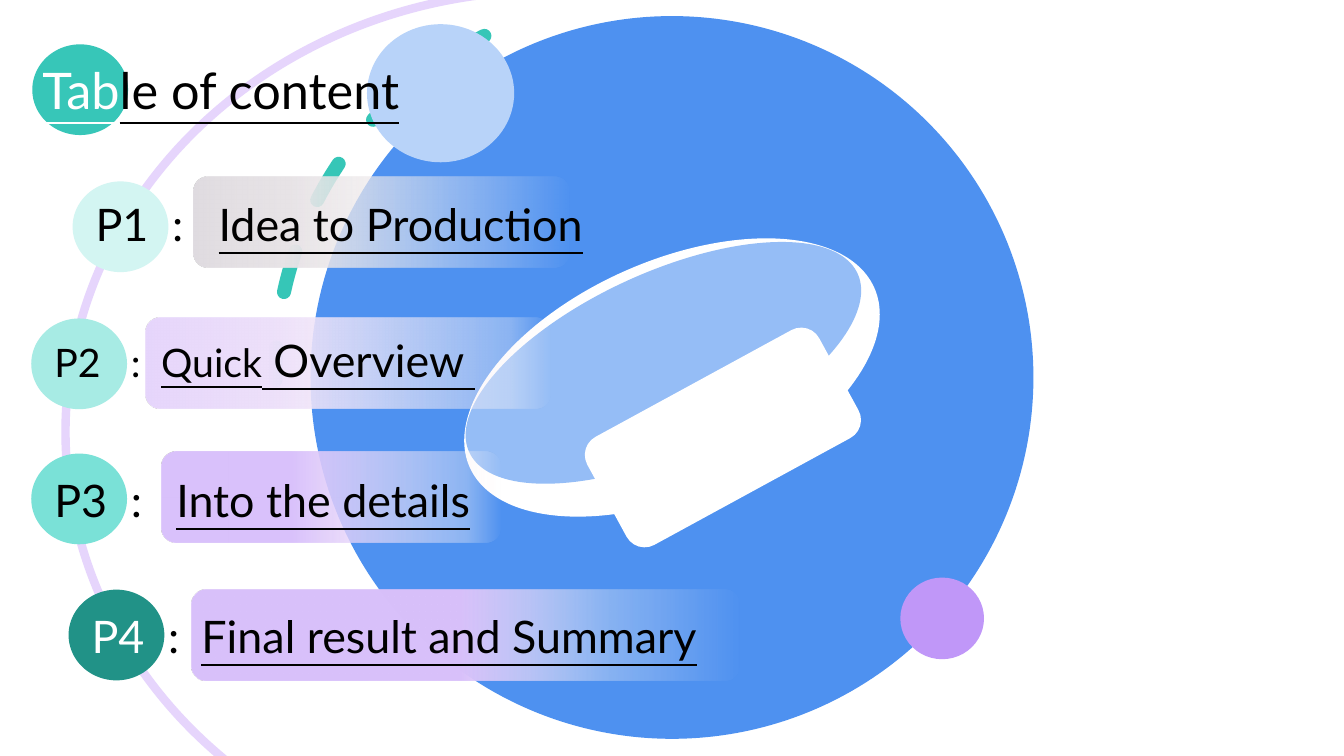
from dataclasses import dataclass

from lxml import etree
from pptx import Presentation
from pptx.dml.color import RGBColor
from pptx.enum.dml import MSO_LINE
from pptx.enum.shapes import MSO_SHAPE
from pptx.enum.text import MSO_ANCHOR, MSO_AUTO_SIZE, PP_ALIGN
from pptx.oxml.ns import qn
from pptx.util import Inches, Pt

ELLIPSE, ARC, ROUNDED = MSO_SHAPE.OVAL, MSO_SHAPE.ARC, MSO_SHAPE.ROUNDED_RECTANGLE
DASH, TOP, LEFT = MSO_LINE.DASH, MSO_ANCHOR.TOP, PP_ALIGN.LEFT
FIT_SHAPE = MSO_AUTO_SIZE.SHAPE_TO_FIT_TEXT


@dataclass(frozen=True)
class Theme:
    """Colours, font and type sizes of the slide."""
    font: str = "Lato"
    title: int = 36
    item: int = 32
    small: int = 28
    white: str = "FFFFFF"
    black: str = "000000"
    blue: str = "4E91F0"
    mid_blue: str = "95BDF6"
    pale_blue: str = "B8D3F9"
    teal: str = "37C6B8"
    dash_teal: str = "2CC3B4"
    purple: str = "C097F8"
    lilac: str = "E6D5FC"
    violet: str = "D9C1FB"
    cream: str = "FEF8F7"
    haze: str = "FCF5F7"
    badges: tuple = ("D3F5F2", "A7EBE4", "7AE1D7", "219287")


THEME = Theme()
CLEAR_END = (0, THEME.cream, 0)


@dataclass(frozen=True)
class Entry:
    """One line of the contents, with offsets measured from its badge."""
    label: str
    title_runs: tuple
    left: float
    top: float
    badge: str
    bar: tuple
    stops: tuple
    text_top: float
    text_width: float
    title_tab: float
    label_size: int = THEME.item
    label_color: str = THEME.black


ENTRIES = (
    Entry("P1", (("Idea to Production", THEME.item),), 0.72, 1.8, THEME.badges[0],
          (1.2, -0.05, 3.73),
          (CLEAR_END, (76, "E7E3E6", 100), (91, "E3DFE3", 100), (100, "DFDBE0", 100)),
          0.1, 5.33, 1.22),
    Entry("P2", (("Quick", THEME.small), (" Overview ", THEME.item)), 0.31, 3.16,
          THEME.badges[1], (1.13, -0.01, 4.02),
          (CLEAR_END, (10, THEME.haze, 35), (70, "EDE0FA", 100),
           (88, "E9DAFB", 100), (100, THEME.lilac, 100)),
          0.09, 5.56, 1.06, THEME.small),
    Entry("P3", (("Into the details", THEME.item),), 0.31, 4.5, THEME.badges[2],
          (1.29, -0.02, 3.36),
          (CLEAR_END, (10, THEME.haze, 35), (62, THEME.violet, 100), (100, THEME.violet, 100)),
          0.14, 4.81, 1.21),
    Entry("P4", (("Final result and Summary", THEME.item),), 0.68, 5.85, THEME.badges[3],
          (1.22, 0, 5.43),
          (CLEAR_END, (25, THEME.haze, 35), (51, THEME.violet, 100), (100, THEME.violet, 100)),
          0.14, 6.55, 1.09, label_color=THEME.white),
)


def add_filled(slide, preset, box, color=None, rotation=0):
    """Add a borderless preset shape, filled when a colour is given."""
    shape = slide.shapes.add_shape(preset, *map(Inches, box))
    shape.shadow.inherit = False
    shape.line.fill.background()
    shape.rotation = rotation
    if color:
        shape.fill.solid()
        shape.fill.fore_color.rgb = RGBColor.from_string(color)
    return shape


def add_arc(slide, box, angles, color, width, flip, rotation=0):
    """Add a flipped open arc and return it."""
    arc = add_filled(slide, ARC, box, rotation=rotation)
    arc.fill.background()
    arc.adjustments[0], arc.adjustments[1] = angles
    arc.line.color.rgb = RGBColor.from_string(color)
    arc.line.width = Pt(width)
    arc._element.spPr.find(qn("a:xfrm")).set(flip, "1")
    return arc


def fade_fill(shape, stops):
    """Fill a shape with a right-to-left gradient of (position, colour, opacity) stops."""
    shape.fill.gradient()
    shape.fill.gradient_angle = 180
    stop_list = shape._element.spPr.find(qn("a:gradFill")).find(qn("a:gsLst"))
    for old_stop in list(stop_list):
        stop_list.remove(old_stop)
    for position, color, opacity in stops:
        stop = etree.SubElement(stop_list, qn("a:gs"), pos=str(position * 1000))
        tint = etree.SubElement(stop, qn("a:srgbClr"), val=color)
        if opacity < 100:
            etree.SubElement(tint, qn("a:alpha"), val=str(opacity * 1000))


def add_run(paragraph, text, size, color=THEME.black, underline=False):
    """Append one formatted run to a paragraph."""
    run = paragraph.add_run()
    run.text = text
    run.font.name = THEME.font
    run.font.size = Pt(size)
    run.font.color.rgb = RGBColor.from_string(color)
    if underline:
        run.font.underline = True


def draw_backdrop(slide, left, top, diameter):
    """Draw the large disc, its dashed rim, the purple dot and the lilac arc."""
    add_filled(slide, ELLIPSE, (left, top, diameter, diameter), THEME.blue)
    rim = add_arc(slide, (left - 0.35, top - 0.19, 7.45, 7.45), (162, 200.93),
                  THEME.dash_teal, 10, "flipV", 153.7)
    rim.line.dash_style = DASH
    outline = rim._element.spPr.find(qn("a:ln"))
    outline.set("cap", "rnd")
    tint = outline.find(qn("a:solidFill"))[0]
    etree.SubElement(tint, qn("a:alpha"), val="95000")
    add_filled(slide, ELLIPSE, (left + 5.85, top + 5.57, 0.83, 0.81), THEME.purple)
    add_arc(slide, (left - 2.43, top - 0.25, 9.55, 8.75), (162.08, 28.54),
            THEME.lilac, 6, "flipH")


def draw_emblem(slide, left, top):
    """Draw the tilted white and blue emblem on the disc."""
    add_filled(slide, ELLIPSE, (left, top, 4.39, 2.31), THEME.white, 336.1)
    add_filled(slide, ELLIPSE, (left - 0.01, top + 0.12, 4.24, 1.78), THEME.mid_blue, 335.3)
    add_filled(slide, ROUNDED, (left + 1.39, top + 1.14, 2.62, 1.22), THEME.white, 331.4)


def draw_title(slide, left, top):
    """Place the title placeholder over its two discs."""
    add_filled(slide, ELLIPSE, (left, top, 0.95, 0.9), THEME.teal)
    add_filled(slide, ELLIPSE, (left + 3.32, top - 0.2, 1.46, 1.37), THEME.pale_blue)
    heading = slide.shapes.title
    slide.shapes._spTree.append(heading._element)
    heading.left, heading.top = Inches(left), Inches(top + 0.1)
    heading.width, heading.height = Inches(5.33), Inches(0.71)
    frame = heading.text_frame
    frame.word_wrap = True
    frame.auto_size = FIT_SHAPE
    frame.vertical_anchor = TOP
    paragraph = frame.paragraphs[0]
    paragraph.alignment = LEFT
    add_run(paragraph, "Tab", THEME.title, THEME.white, True)
    add_run(paragraph, "le of content", THEME.title, underline=True)


def draw_entry(slide, entry):
    """Draw one contents line: badge, fading bar and tabbed text."""
    add_filled(slide, ELLIPSE, (entry.left, entry.top, 0.95, 0.9), entry.badge)
    bar_left, bar_top, bar_width = entry.bar
    bar = add_filled(slide, ROUNDED,
                     (entry.left + bar_left, entry.top + bar_top, bar_width, 0.9))
    fade_fill(bar, entry.stops)
    caption = slide.shapes.add_textbox(Inches(entry.left + 0.13),
                                       Inches(entry.top + entry.text_top),
                                       Inches(entry.text_width), Inches(0.64))
    frame = caption.text_frame
    frame.word_wrap = True
    frame.auto_size = FIT_SHAPE
    paragraph = frame.paragraphs[0]
    tabs = etree.SubElement(paragraph._p.get_or_add_pPr(), qn("a:tabLst"))
    for position in (0.76, entry.title_tab):
        etree.SubElement(tabs, qn("a:tab"), pos=str(Inches(position)), algn="l")
    add_run(paragraph, entry.label, entry.label_size, entry.label_color)
    add_run(paragraph, "\t:\t", entry.label_size)
    for text, size in entry.title_runs:
        add_run(paragraph, text, size, underline=True)


def main():
    """Build the contents slide and save it."""
    deck = Presentation()
    deck.slide_width, deck.slide_height = Inches(13.33), Inches(7.5)
    slide = deck.slides.add_slide(deck.slide_layouts[5])
    draw_backdrop(slide, 3.08, 0.16, 7.17)
    draw_emblem(slide, 4.47, 2.59)
    draw_title(slide, 0.32, 0.44)
    for entry in ENTRIES:
        draw_entry(slide, entry)
    deck.save("out.pptx")


if __name__ == "__main__":
    main()
